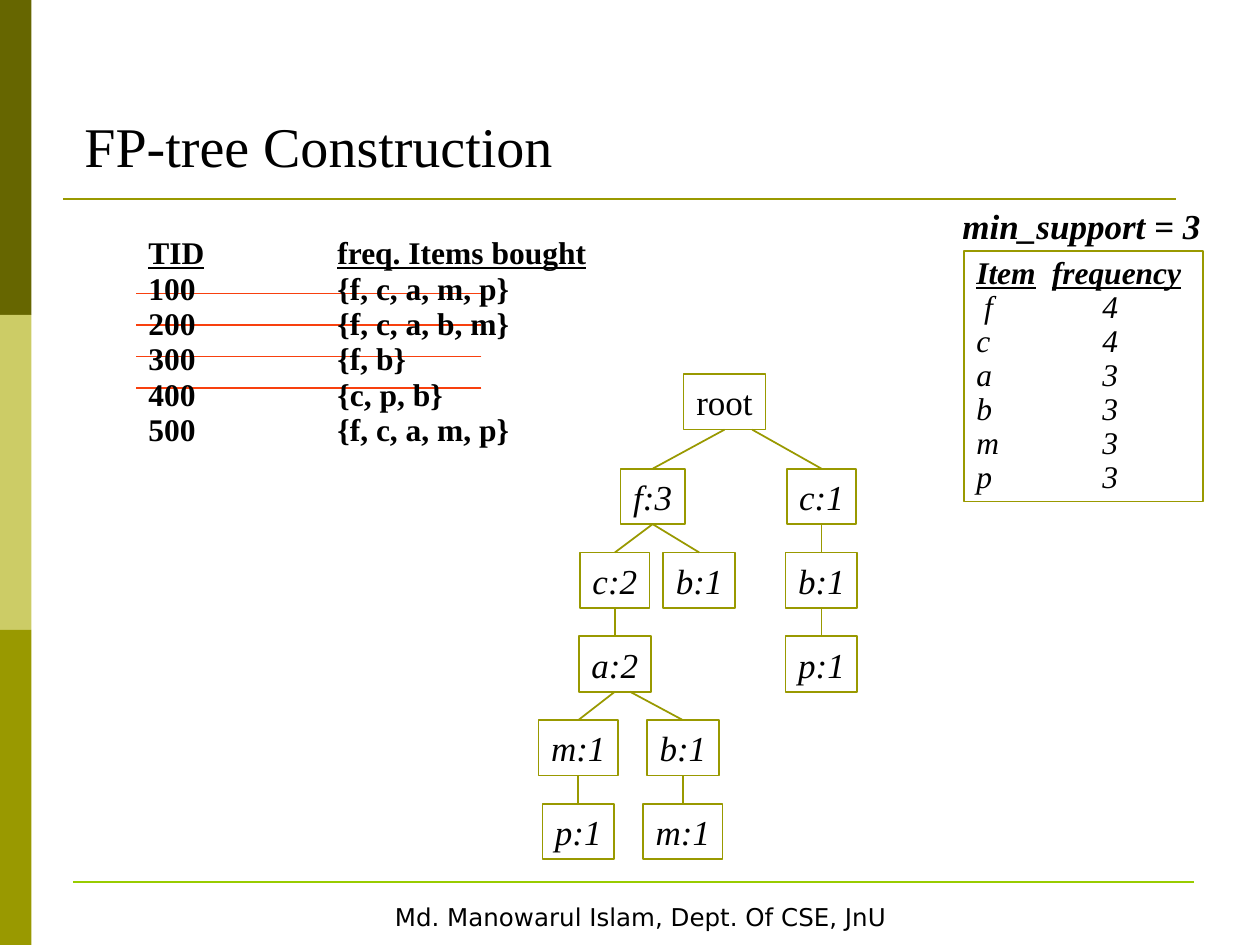
import pptx
import pptx.util
import pptx.dml.color
import pptx.enum.shapes
import pptx.enum.text
import pptx.oxml
import pptx.oxml.ns

Inches, Pt = pptx.util.Inches, pptx.util.Pt
RGBColor = pptx.dml.color.RGBColor
ANCHOR = pptx.enum.text.MSO_ANCHOR
ALIGN = pptx.enum.text.PP_ALIGN
AUTO_SIZE = pptx.enum.text.MSO_AUTO_SIZE
RECTANGLE = pptx.enum.shapes.MSO_SHAPE.RECTANGLE
STRAIGHT = pptx.enum.shapes.MSO_CONNECTOR.STRAIGHT

BLACK = RGBColor(0, 0, 0)
WHITE = RGBColor(255, 255, 255)
DARK_OLIVE = RGBColor(0x66, 0x66, 0x00)
PALE_OLIVE = RGBColor(0xCC, 0xCC, 0x66)
OLIVE = RGBColor(0x99, 0x99, 0x00)
LIME = RGBColor(0x98, 0xCC, 0x00)
STRIKE_RED = RGBColor(0xF8, 0x40, 0x0E)
SERIF = "Times New Roman"
FRAME = dict(margin_left=Inches(0.1), margin_right=Inches(0.1),
             margin_top=Inches(0.05), margin_bottom=Inches(0.05))


def assign(target, formats):
    for name, value in formats.items():
        setattr(target, name, value)


def add_words(paragraph, words, size, font=SERIF, **formats):
    run = paragraph.add_run()
    run.text = words
    assign(run.font, dict(name=font, size=Pt(size), **formats))
    run.font.color.rgb = BLACK


def add_tab_stop(paragraph, position):
    properties = paragraph._p.get_or_add_pPr()
    stops = pptx.oxml.parse_xml(
        f'<a:tabLst {pptx.oxml.ns.nsdecls("a")}>'
        f'<a:tab pos="{Inches(position)}" algn="l"/></a:tabLst>')
    properties.append(stops)


def add_box(slide, box, fill=None, line=None, width=1, **frame):
    rectangle = slide.shapes.add_shape(RECTANGLE, *map(Inches, box))
    rectangle.shadow.inherit = False
    if fill is None:
        rectangle.fill.background()
    else:
        rectangle.fill.solid()
        rectangle.fill.fore_color.rgb = fill
    if line is None:
        rectangle.line.fill.background()
    else:
        rectangle.line.color.rgb = line
        rectangle.line.width = Pt(width)
    assign(rectangle.text_frame, {**FRAME, **frame})
    return rectangle


def add_line(slide, start, end, color, width):
    line = slide.shapes.add_connector(STRAIGHT, *map(Inches, (*start, *end)))
    line.line.color.rgb = color
    line.line.width = Pt(width)
    line._element.spPr.append(pptx.oxml.parse_xml(
        f'<a:effectLst {pptx.oxml.ns.nsdecls("a")}/>'))
    return line


def add_side_band(slide, left, top, width, height):
    colors = (DARK_OLIVE, PALE_OLIVE, OLIVE)
    step = height / len(colors)
    for index, color in enumerate(colors):
        add_box(slide, (left, top + index * step, width, step), color)


def add_title(slide, left, top, width, height):
    title = slide.shapes.title
    assign(title, dict(left=Inches(left), top=Inches(top),
                       width=Inches(width), height=Inches(height)))
    assign(title.text_frame, dict(vertical_anchor=ANCHOR.BOTTOM, word_wrap=True,
                                  auto_size=AUTO_SIZE.NONE, **FRAME))
    heading = title.text_frame.paragraphs[0]
    heading.alignment = ALIGN.LEFT
    add_words(heading, "FP-tree Construction", 32)
    add_line(slide, (0.5, 1.58), (9.33, 1.58), OLIVE, 1.5)


def add_footer(slide, left, top, width, height):
    add_line(slide, (0.58, 7), (9.48, 7), LIME, 1.5)
    footer = add_box(slide, (left, top, width, height), WHITE, WHITE, 2,
                     word_wrap=False, vertical_anchor=ANCHOR.MIDDLE)
    credit = footer.text_frame.paragraphs[0]
    credit.alignment = ALIGN.CENTER
    add_words(credit, "Md. Manowarul Islam, Dept. Of CSE, JnU", 14, "DejaVu Sans")


def add_transactions(slide, left, top, width, height):
    for index in range(4):
        y = top + 0.38 + 0.25 * index
        add_line(slide, (left + 2.74, y), (left, y), STRIKE_RED, 0.75)
    transactions = slide.shapes.add_textbox(*map(Inches, (left, top, width, height)))
    frame = transactions.text_frame
    assign(frame, dict(word_wrap=True, auto_size=AUTO_SIZE.SHAPE_TO_FIT_TEXT, **FRAME))
    rows = (("TID", "freq. Items bought"), ("100", "{f, c, a, m, p}"),
            ("200", "{f, c, a, b, m}"), ("300", "{f, b}"),
            ("400", "{c, p, b}"), ("500", "{f, c, a, m, p}"))
    for index, row in enumerate(rows):
        paragraph = frame.add_paragraph() if index else frame.paragraphs[0]
        assign(paragraph, dict(line_spacing=0.42, space_before=Pt(11.2 if index else 0)))
        add_tab_stop(paragraph, 1.5)
        add_words(paragraph, "\t".join(row), 18, bold=True, underline=index == 0)


def add_frequencies(slide, left, top, width, height):
    support = slide.shapes.add_textbox(*map(Inches, (left - 0.11, top - 0.3, 2.29, 0.3)))
    assign(support.text_frame, dict(word_wrap=True, **FRAME))
    threshold = support.text_frame.paragraphs[0]
    threshold.line_spacing = 0.6
    add_words(threshold, "min_support = 3", 20, bold=True, italic=True)

    frame = add_box(slide, (left, top, width, height), line=OLIVE, word_wrap=True,
                    vertical_anchor=ANCHOR.TOP).text_frame
    rows = (("Item", "frequency"), (" f", "4"), ("c", "4"), ("a", "3"),
            ("b", "3"), ("m", "3"), ("p", "3"))
    for index, row in enumerate(rows):
        header = index == 0
        paragraph = frame.paragraphs[0] if header else frame.add_paragraph()
        assign(paragraph, dict(alignment=ALIGN.LEFT, line_spacing=0.9))
        add_tab_stop(paragraph, 0.6 if header else 1)
        add_words(paragraph, "\t".join(row), 18, bold=header, italic=True,
                  underline=header)


def add_tree(slide, left, top):
    node_height, first_level, level_step = 0.44, 0.75, 0.665
    widths = dict(r=0.65, f=0.51, c=0.55, a=0.57, b=0.57, p=0.57, m=0.63)
    branches = (
        ("root", 1.48, 0, None, 0), ("f:3", 0.91, 1, 0, 0), ("c:2", 0.61, 2, 1, 0),
        ("a:2", 0.61, 3, 2, 0), ("m:1", 0.32, 4, 3, 0), ("p:1", 0.32, 5, 4, 0),
        ("b:1", 1.15, 4, 3, 0.12), ("m:1", 1.15, 5, 6, 0), ("b:1", 1.28, 2, 1, 0),
        ("c:1", 2.25, 1, 0, 0.22), ("b:1", 2.25, 2, 9, 0), ("p:1", 2.25, 3, 10, 0))
    nodes, feet = [], []
    for label, center, level, parent, shift in branches:
        x = left + center
        y = top + (first_level + (level - 1) * level_step if level else 0)
        width = widths[label[0]]
        node = add_box(slide, (x - width / 2, y, width, node_height), line=OLIVE,
                       word_wrap=False, vertical_anchor=ANCHOR.MIDDLE)
        name = node.text_frame.paragraphs[0]
        name.alignment = ALIGN.CENTER
        add_words(name, label, 20, italic=level > 0)
        nodes.append(node)
        feet.append((x, y + node_height))
        if parent is not None:
            foot_x, foot_y = feet[parent]
            branch = add_line(slide, (foot_x + shift, foot_y), (x, y), OLIVE, 1)
            if not shift:
                branch.begin_connect(nodes[parent], 2)
            branch.end_connect(node, 0)


def main():
    presentation = pptx.Presentation()
    assign(presentation, dict(slide_width=Inches(10), slide_height=Inches(7.5)))
    slide = presentation.slides.add_slide(presentation.slide_layouts[5])
    add_side_band(slide, 0, 0, 0.25, 7.5)
    add_title(slide, 0.57, 0.64, 8.03, 0.83)
    add_footer(slide, 0.5, 7.1, 9.17, 0.35)
    add_frequencies(slide, 7.65, 1.99, 1.9, 1.99)
    add_tree(slide, 4.27, 2.97)
    add_transactions(slide, 1.08, 1.95, 3.83, 1.6)
    presentation.save("out.pptx")


if __name__ == "__main__":
    main()
